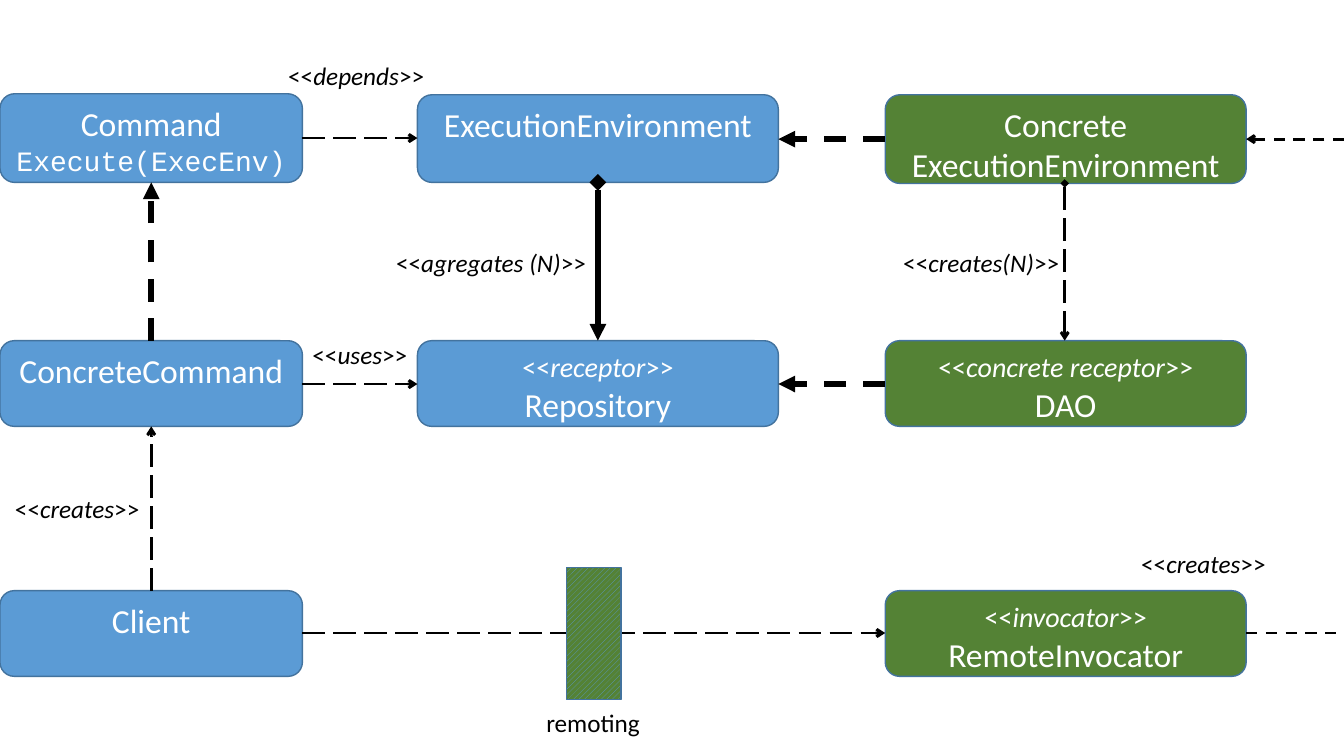
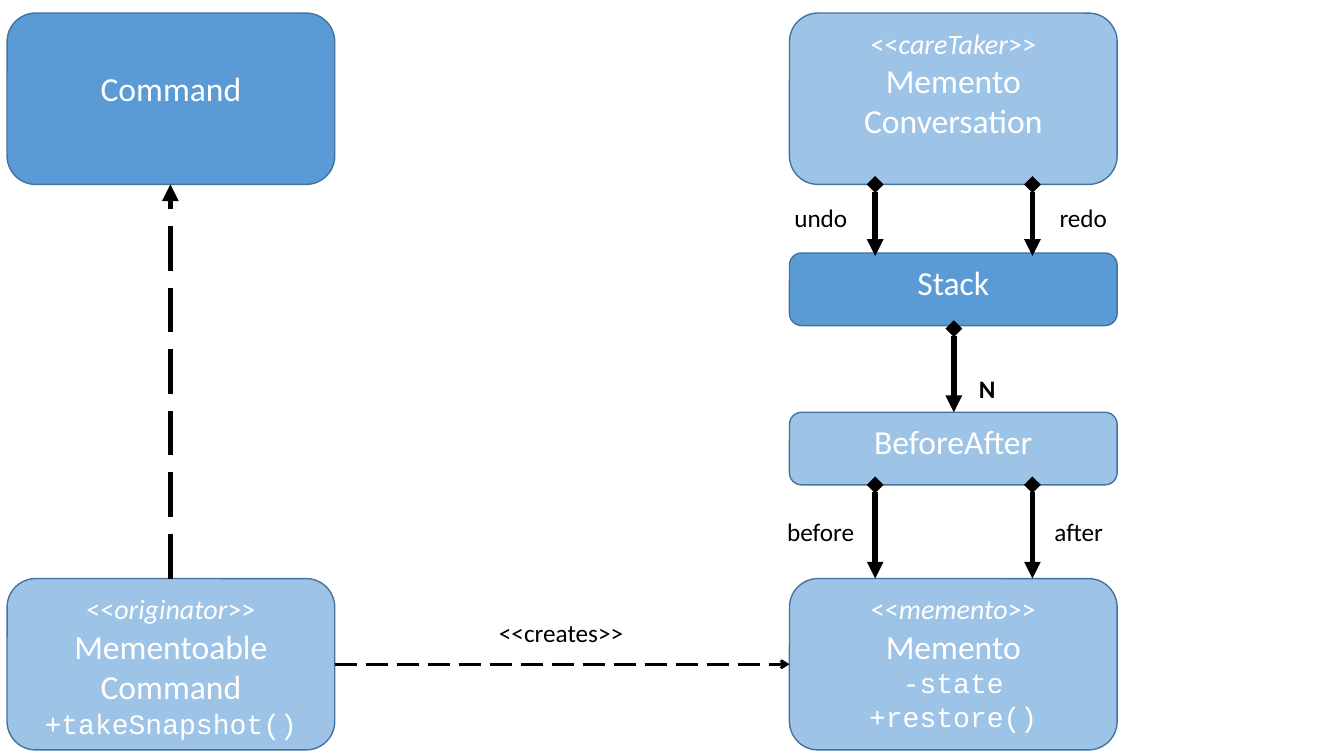
from dataclasses import dataclass

from lxml import etree
from pptx import Presentation
from pptx.dml.color import RGBColor
from pptx.enum.dml import MSO_LINE, MSO_PATTERN
from pptx.enum.shapes import MSO_CONNECTOR, MSO_SHAPE
from pptx.enum.text import MSO_ANCHOR, PP_ALIGN
from pptx.oxml.ns import qn
from pptx.util import Pt

PX = 9144  # EMU per px, 100 px to the inch
WIDE, HIGH = 1333, 750
ROUND, RECT = MSO_SHAPE.ROUNDED_RECTANGLE, MSO_SHAPE.RECTANGLE
STRAIGHT = MSO_CONNECTOR.STRAIGHT
DASH, LONG = MSO_LINE.DASH, MSO_LINE.LONG_DASH
STRIPES = MSO_PATTERN.WIDE_UPWARD_DIAGONAL
TOP, MIDDLE = MSO_ANCHOR.TOP, PP_ALIGN.CENTER

COLORS = {
    "blue": "5B9BD5",
    "pale": "9DC3E6",
    "green": "548235",
    "edge": "43739E",
    "ink": "000000",
    "white": "FFFFFF",
}
SANS, MONO = "Calibri", "Courier New"
STYLES = {"role": (20, SANS), "name": (24, SANS), "code": (20, MONO)}


@dataclass
class Box:
    x: int
    y: int
    w: int
    h: int
    color: str
    lines: list[tuple[str, str]]
    drop: int = 5  # inset above the text


@dataclass
class Link:
    x1: int
    y1: int
    x2: int
    y2: int
    tail: str
    dash: object = None
    width: int = 4
    head: str = ""


@dataclass
class Label:
    x: int
    y: int
    w: int
    text: str
    role: bool = False
    bold: bool = False


def rgb(name: str) -> RGBColor:
    return RGBColor.from_string(COLORS[name])


def add_run(para, text: str, size: int, font: str, color: str,
            italic: bool = False, bold: bool = False) -> None:
    run = para.add_run()
    run.text = text
    run.font.size = Pt(size)
    run.font.name = font
    run.font.color.rgb = rgb(color)
    run.font.italic = italic
    run.font.bold = bold


def add_role(para, text: str, size: int, color: str) -> None:
    """Set a stereotype: upright brackets around an italic word."""
    for part, italic in (("<<", False), (text, True), (">>", False)):
        add_run(para, part, size, SANS, color, italic)


def add_shape(slide, kind, x: int, y: int, w: int, h: int):
    shape = slide.shapes.add_shape(kind, x * PX, y * PX, w * PX, h * PX)
    shape.shadow.inherit = False
    shape.line.color.rgb = rgb("edge")
    shape.line.width = Pt(1)
    return shape


def draw_box(slide, box: Box) -> None:
    shape = add_shape(slide, ROUND, box.x, box.y, box.w, box.h)
    shape.fill.solid()
    shape.fill.fore_color.rgb = rgb(box.color)
    frame = shape.text_frame
    frame.word_wrap = True
    frame.vertical_anchor = TOP
    frame.margin_top = box.drop * PX
    for i, (style, text) in enumerate(box.lines):
        para = frame.add_paragraph() if i else frame.paragraphs[0]
        para.alignment = MIDDLE
        size, font = STYLES[style]
        if style == "role":
            add_role(para, text, size, "white")
        else:
            add_run(para, text, size, font, "white")


def draw_link(slide, link: Link) -> None:
    line = slide.shapes.add_connector(
        STRAIGHT, link.x1 * PX, link.y1 * PX, link.x2 * PX, link.y2 * PX)
    line.line.color.rgb = rgb("ink")
    line.line.width = Pt(link.width)
    if link.dash is not None:
        line.line.dash_style = link.dash
    props = line.line._get_or_add_ln()
    for tag, kind in (("a:headEnd", link.head), ("a:tailEnd", link.tail)):
        if kind:
            etree.SubElement(props, qn(tag), type=kind)
    etree.SubElement(props.getparent(), qn("a:effectLst"))


def draw_label(slide, label: Label) -> None:
    shape = slide.shapes.add_textbox(
        label.x * PX, label.y * PX, label.w * PX, 40 * PX)
    frame = shape.text_frame
    frame.word_wrap = label.role
    para = frame.paragraphs[0]
    if label.role:
        add_role(para, label.text, 18, "ink")
    else:
        add_run(para, label.text, 18, SANS, "ink", bold=label.bold)


def draw_wall(slide) -> None:
    wall = add_shape(slide, RECT, 562, 563, 54, 131)
    wall.fill.patterned()
    wall.fill.pattern = STRIPES
    wall.fill.fore_color.rgb = rgb("blue")
    wall.fill.back_color.rgb = rgb("green")


def draw(slide, boxes: list[Box], links: list[Link],
         labels: list[Label]) -> None:
    for box in boxes:
        draw_box(slide, box)
    for link in links:
        draw_link(slide, link)
    for label in labels:
        draw_label(slide, label)


def draw_remote(slide) -> None:
    left, mid, right = 0, 414, 878
    top, row, low = 94, 338, 586
    slim, wide, tall = 300, 358, 85
    boxes = [
        Box(left, 93, slim, 88, "blue",
            [("name", "Command"), ("code", "Execute(ExecEnv)")]),
        Box(mid, top, wide, 87, "blue", [("name", "ExecutionEnvironment")]),
        Box(right, top, wide, 88, "green",
            [("name", "Concrete"), ("name", "ExecutionEnvironment")]),
        Box(left, row, slim, tall, "blue", [("name", "ConcreteCommand")]),
        Box(mid, row, wide, tall, "blue",
            [("role", "receptor"), ("name", "Repository")]),
        Box(right, row, wide, tall, "green",
            [("role", "concrete receptor"), ("name", "DAO")]),
        Box(left, low, slim, tall, "blue", [("name", "Client")]),
        Box(right, low, wide, tall, "green",
            [("role", "invocator"), ("name", "RemoteInvocator")]),
    ]
    end = right + wide
    links = [
        Link(150, row, 150, 181, "triangle", DASH),
        Link(150, low, 150, row + tall, "arrow", LONG, 2),
        Link(slim, 137, mid, 137, "arrow", LONG, 2),
        Link(slim, 381, mid, 381, "arrow", LONG, 2),
        Link(slim, 628, right, 628, "arrow", LONG, 2),
        Link(right, 138, mid + wide, 138, "triangle", DASH),
        Link(right, 381, mid + wide, 381, "triangle", DASH),
        Link(593, 181, 593, row, "triangle", head="diamond"),
        Link(1056, 182, 1056, row, "arrow", LONG, 2, "diamond"),
        Link(end, 628, WIDE, 628, "", DASH, 2),
        Link(WIDE, 138, end, 138, "arrow", DASH, 2),
    ]
    labels = [
        Label(276, 55, 162, "depends", True),
        Label(300, 332, 162, "uses", True),
        Label(383, 240, 210, "agregates (N)", True),
        Label(886, 240, 189, "creates(N)", True),
        Label(1122, 539, 145, "creates", True),
        Label(5, 484, 145, "creates", True),
        Label(532, 697, 114, "remoting"),
    ]
    draw(slide, boxes, links, labels)
    draw_wall(slide)


def draw_memento(slide) -> None:
    left, right, wide = 7, 783, 325
    top, low, tall, short = 13, 574, 170, 72
    boxes = [
        Box(left, top, wide, tall, "blue", [("name", "Command")], 46),
        Box(right, top, wide, tall, "pale",
            [("role", "careTaker"), ("name", "Memento"),
             ("name", "Conversation")]),
        Box(right, 251, wide, short, "blue", [("name", "Stack")]),
        Box(right, 409, wide, short, "pale", [("name", "BeforeAfter")]),
        Box(left, low, wide, tall, "pale",
            [("role", "originator"), ("name", "Mementoable"),
             ("name", "Command"), ("code", "+takeSnapshot()")]),
        Box(right, low, wide, tall, "pale",
            [("role", "memento"), ("name", "Memento"),
             ("code", "-state"), ("code", "+restore()")]),
    ]
    links = [
        Link(left + wide, 659, right, 659, "arrow", LONG, 2),
        Link(169, low, 169, top + tall, "triangle", LONG),
        Link(946, 326, 946, 409, "triangle", head="diamond"),
    ]
    links += [Link(x, start, x, stop, "triangle", head="diamond")
              for x in (868, 1024)
              for start, stop in ((top + tall, 254), (481, low))]
    labels = [
        Label(485, 608, 145, "<<creates>>"),
        Label(961, 365, 36, "N", bold=True),
        Label(778, 196, 73, "undo"),
        Label(1041, 196, 68, "redo"),
        Label(771, 507, 87, "before"),
        Label(1036, 507, 69, "after"),
    ]
    draw(slide, boxes, links, labels)


def main() -> None:
    deck = Presentation()
    deck.slide_width, deck.slide_height = WIDE * PX, HIGH * PX
    blank = deck.slide_layouts[6]
    for paint in (draw_remote, draw_memento):
        paint(deck.slides.add_slide(blank))
    deck.save("out.pptx")


if __name__ == "__main__":
    main()
